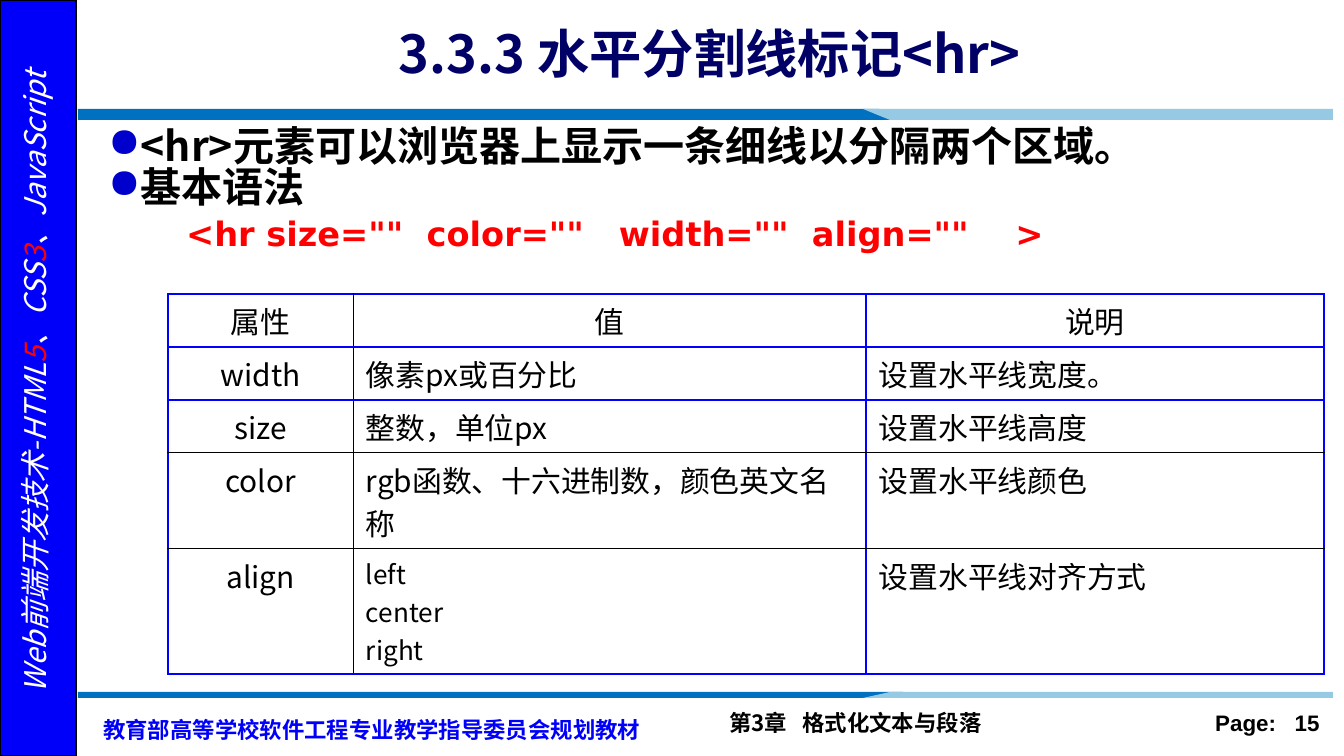
"""Build the slide on the horizontal rule tag <hr>."""
from lxml import etree
from pptx import Presentation
from pptx.dml.color import RGBColor
from pptx.enum.shapes import MSO_SHAPE
from pptx.enum.text import MSO_ANCHOR, PP_ALIGN
from pptx.oxml.ns import qn
from pptx.util import Pt

PX = 914400 / 134.4
RECT = MSO_SHAPE.RECTANGLE
TOP, MIDDLE = MSO_ANCHOR.TOP, MSO_ANCHOR.MIDDLE
LEFT, CENTER, RIGHT = PP_ALIGN.LEFT, PP_ALIGN.CENTER, PP_ALIGN.RIGHT
NOTO, ARIAL, DEJAVU = "Noto Sans CJK SC", "Arial", "DejaVu Sans"
COLORS = {"black": "000000", "white": "FFFFFF", "red": "FF0000", "side": "0000FA",
          "title": "000066", "bullet": "0000CC", "border": "0000FF",
          "dark": "0070C0", "light": "96CAE4"}

BOLD = {"bold": True}
TEXTS = [
    {"box": (716, 703, 442, 40), "runs": [("第3章   格式化文本与段落", 12, "black", NOTO)]},
    {"box": (1165, 703, 168, 40), "align": RIGHT, "runs": [("Page:   15", 12, "black", ARIAL)]},
    {"box": (90, 703, 582, 47), "spacing": Pt(18),
     "runs": [("教育部高等学校软件工程专业教学指导委员会规划教材", 12, "side", NOTO)]},
    {"box": (-312, 359, 698, 46), "align": CENTER, "anchor": MIDDLE, "rotation": 270,
     "spacing": 0.9, "font": {"italic": True},
     "runs": [("Web前端开发技术-HTML", 16, "white", NOTO), ("5", 16, "red", NOTO),
              ("、CSS", 16, "white", NOTO), ("3", 16, "red", NOTO),
              ("、JavaScript", 16, "white", NOTO)]},
    {"box": (145, 11, 1141, 83), "align": CENTER, "anchor": MIDDLE,
     "runs": [("3.3.3 水平分割线标记<hr> ", 28, "title", NOTO)]},
]
BODY_BOX = (95, 122, 1226, 158)
BODY = [
    (27, -27, "●", [("<hr>元素可以浏览器上显示一条细线以分隔两个区域。", 22, "black", NOTO)]),
    (27, -27, "●", [("基本语法", 22, "black", NOTO)]),
    (78, -24, None, [("\t", 24, "black", NOTO),
                     ('<hr size=""  color=""   width=""  align=""    >', 18, "red", DEJAVU)]),
]
RIBBONS = [(109, 120), (698, 692)]
RIBBON_PARTS = [("dark", (78, 879, 903, 78)), ("light", (863, 1333, 1333, 890))]

TABLE_AT = (168, 294)
COLS = [185, 513, 458]
ROWS = [53, 53, 53, 96, 125]
CELLS = [
    ["属性", "值", "说明"],
    ["width", "像素px或百分比", "设置水平线宽度。"],
    ["size", "整数，单位px", "设置水平线高度"],
    ["color", "rgb函数、十六进制数，颜色英文名称", "设置水平线颜色"],
    ["align", "left\ncenter\nright", "设置水平线对齐方式"],
]
THIN_COLS, THIN_ROWS = {1}, {3, 4}


def px(*values):
    return [round(v * PX) for v in values]


def rgb(name):
    return RGBColor.from_string(COLORS[name])


def add_runs(p, runs, font):
    for text, size, color, face in runs:
        r = p.add_run()
        r.text = text
        for key, value in {"size": Pt(size), "name": face, **font}.items():
            setattr(r.font, key, value)
        r.font.color.rgb = rgb(color)
        etree.SubElement(r.font._element, qn("a:ea"), typeface=face)


def add_box(s, box, anchor=TOP):
    sp = s.shapes.add_textbox(*px(*box))
    tf = sp.text_frame
    tf.word_wrap, tf.vertical_anchor = True, anchor
    return sp


def add_text(s, item):
    sp = add_box(s, item["box"], item.get("anchor", TOP))
    sp.rotation = item.get("rotation", 0)
    p = sp.text_frame.paragraphs[0]
    p.alignment = item.get("align", LEFT)
    p.line_spacing = item.get("spacing")
    add_runs(p, item["runs"], item.get("font", BOLD))


def add_body(s):
    tf = add_box(s, BODY_BOX).text_frame
    for i, (margin, indent, bullet, runs) in enumerate(BODY):
        p = tf.add_paragraph() if i else tf.paragraphs[0]
        p.line_spacing = 0.83
        pPr = p._p.get_or_add_pPr()
        for key, value in zip(("marL", "indent"), px(margin, indent)):
            pPr.set(key, str(value))
        if bullet:
            clr = etree.SubElement(pPr, qn("a:buClr"))
            etree.SubElement(clr, qn("a:srgbClr"), val=COLORS["bullet"])
            etree.SubElement(pPr, qn("a:buChar"), char=bullet)
        add_runs(p, runs, BOLD)


def add_ribbon(s, y1, y2):
    for color, xs in RIBBON_PARTS:
        start, *rest = zip(xs, (y1, y1, y2, y2))
        builder = s.shapes.build_freeform(*start, scale=PX)
        builder.add_line_segments(rest, close=True)
        sp = builder.convert_to_shape()
        sp.shadow.inherit = False
        sp.fill.solid()
        sp.fill.fore_color.rgb = rgb(color)
        sp.line.fill.background()


def set_borders(cell, row, col):
    tcPr = cell._tc.get_or_add_tcPr()
    thin = {"lnL": col in THIN_COLS, "lnR": col + 1 in THIN_COLS,
            "lnT": row in THIN_ROWS, "lnB": row + 1 in THIN_ROWS}
    for tag, is_thin in thin.items():
        ln = etree.SubElement(tcPr, qn("a:" + tag), w=str(Pt(0.5 if is_thin else 1)))
        fill = etree.SubElement(ln, qn("a:solidFill"))
        etree.SubElement(fill, qn("a:srgbClr"), val=COLORS["black" if is_thin else "border"])


def add_grid(s):
    frame = s.shapes.add_table(len(ROWS), len(COLS), *px(*TABLE_AT, sum(COLS), sum(ROWS)))
    table = frame.table
    for col, width in zip(table.columns, px(*COLS)):
        col.width = width
    for row, height in zip(table.rows, px(*ROWS)):
        row.height = height
    for i, texts in enumerate(CELLS):
        for j, text in enumerate(texts):
            cell = table.cell(i, j)
            cell.margin_left, cell.margin_right, cell.margin_top, cell.margin_bottom = px(13, 13, 5, 5)
            set_borders(cell, i, j)
            cell.fill.background()
            lines = text.split("\n")
            for k, line in enumerate(lines):
                tf = cell.text_frame
                p = tf.add_paragraph() if k else tf.paragraphs[0]
                p.alignment = CENTER if i == 0 or j == 0 else LEFT
                size = 14 if len(lines) > 1 else 16
                add_runs(p, [(line, size, "black", NOTO)], {"bold": False})


def main():
    prs = Presentation()
    prs.slide_width, prs.slide_height = px(1344, 756)
    s = prs.slides.add_slide(prs.slide_layouts[6])
    side = s.shapes.add_shape(RECT, *px(0, 0, 76, 756))
    side.shadow.inherit = False
    side.fill.solid()
    side.fill.fore_color.rgb = rgb("side")
    side.line.color.rgb = rgb("black")
    side.line.width = Pt(1)
    for y1, y2 in RIBBONS:
        add_ribbon(s, y1, y2)
    for item in TEXTS:
        add_text(s, item)
    add_body(s)
    add_grid(s)
    prs.save("out.pptx")


if __name__ == "__main__":
    main()
